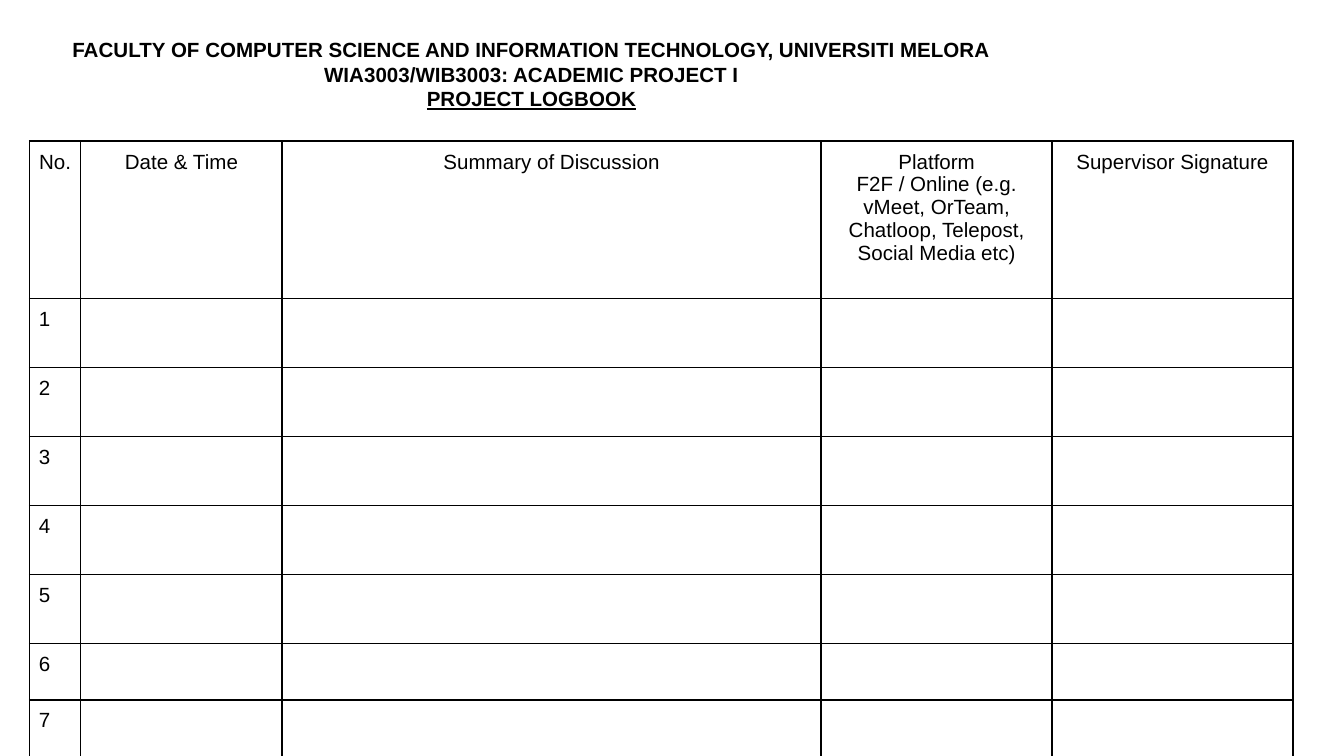
from lxml import etree
from pptx import Presentation
from pptx.dml.color import RGBColor
from pptx.enum.text import MSO_ANCHOR, PP_ALIGN
from pptx.oxml.ns import qn
from pptx.util import Inches, Pt

CENTER, LEFT = PP_ALIGN.CENTER, PP_ALIGN.LEFT
TOP, MIDDLE = MSO_ANCHOR.TOP, MSO_ANCHOR.MIDDLE

# Content
HEADING = [
    "FACULTY OF COMPUTER SCIENCE AND INFORMATION TECHNOLOGY, UNIVERSITI MELORA",
    "WIA3003/WIB3003: ACADEMIC PROJECT I",
    "PROJECT LOGBOOK",
]
COLUMNS = [  # header lines, width
    (["No."], 0.38),
    (["Date & Time"], 1.5),
    (["Summary of Discussion"], 4.01),
    (["Platform", "F2F / Online (e.g. vMeet, OrTeam, Chatloop, Telepost, Social Media etc)"], 1.72),
    (["Supervisor Signature"], 1.79),
]
HEADER_HEIGHT = 1.17
ENTRY_HEIGHTS = [2.57 / 5] * 5 + [0.42] * 2  # five tall rows share 2.57

THEME = {"font": "Arial", "size": Pt(11), "ink": "000000", "paper": "FFFFFF",
         "rule": Pt(1), "inset": Inches(0.07), "heading_inset": Inches(0.1)}


def write(frame, lines, align, bold=False):
    """Write one paragraph per line and return the runs."""
    runs = []
    for i, line in enumerate(lines):
        paragraph = frame.paragraphs[0] if i == 0 else frame.add_paragraph()
        paragraph.alignment = align
        run = paragraph.add_run()
        run.text = line
        run.font.name, run.font.size, run.font.bold = THEME["font"], THEME["size"], bold
        run.font.color.rgb = RGBColor.from_string(THEME["ink"])
        runs.append(run)
    return runs


def set_insets(box, inset):
    box.margin_left = box.margin_right = box.margin_top = box.margin_bottom = inset


def rule_cell(cell):
    """Draw the four cell borders; they come before the fill in the XML."""
    properties = cell._tc.get_or_add_tcPr()
    for i, side in enumerate(("lnL", "lnR", "lnT", "lnB")):
        line = etree.Element(qn(f"a:{side}"), w=str(THEME["rule"]))
        solid = etree.SubElement(line, qn("a:solidFill"))
        etree.SubElement(solid, qn("a:srgbClr"), val=THEME["ink"])
        properties.insert(i, line)


# A 16:9 slide, ten inches wide
prs = Presentation()
prs.slide_width = Inches(10)
prs.slide_height = Inches(10 * 9 / 16)
slide = prs.slides.add_slide(prs.slide_layouts[5])
slide.background.fill.solid()
slide.background.fill.fore_color.rgb = RGBColor.from_string(THEME["paper"])

# Heading
heading = slide.shapes.title
heading.left, heading.top = Inches(0.22), Inches(0.16)
heading.width, heading.height = Inches(7.47), Inches(0.78)
frame = heading.text_frame
frame.word_wrap = True
frame.vertical_anchor = MIDDLE
set_insets(frame, THEME["heading_inset"])
write(frame, HEADING, CENTER, bold=True)[-1].font.underline = True

# Logbook table
heights = [HEADER_HEIGHT] + ENTRY_HEIGHTS
widths = [width for _, width in COLUMNS]
logbook = slide.shapes.add_table(
    len(heights), len(widths), Inches(0.22), Inches(1.05),
    Inches(sum(widths)), Inches(sum(heights))).table
logbook.first_row = logbook.horz_banding = False
for column, width in zip(logbook.columns, widths):
    column.width = Inches(width)
for row, height in zip(logbook.rows, heights):
    row.height = Inches(height)
for cell in logbook.iter_cells():
    cell.fill.background()
    rule_cell(cell)

# Column headers and entry numbers
labels = [(0, col, lines, CENTER) for col, (lines, _) in enumerate(COLUMNS)]
labels += [(n, 0, [str(n)], LEFT) for n in range(1, len(heights))]
for row, col, lines, align in labels:
    cell = logbook.cell(row, col)
    set_insets(cell, THEME["inset"])
    cell.vertical_anchor = TOP
    write(cell.text_frame, lines, align)

prs.save("out.pptx")
